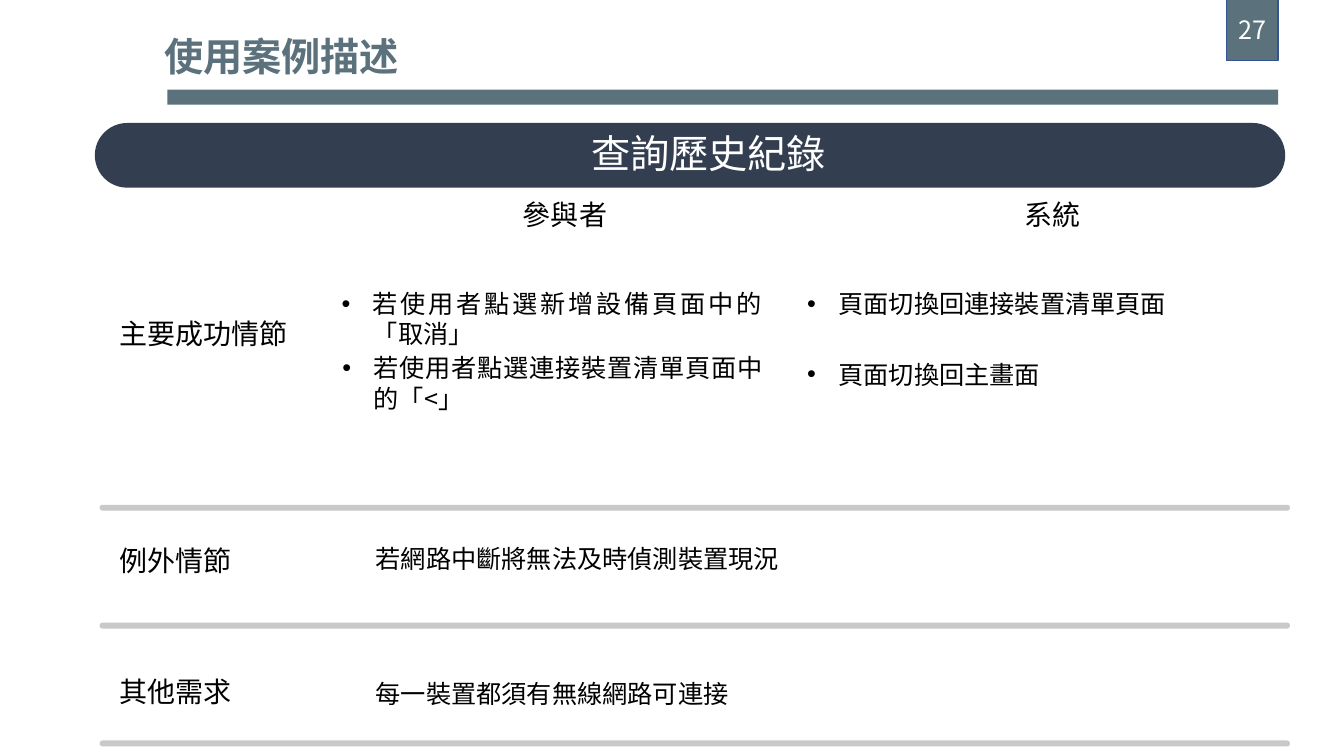
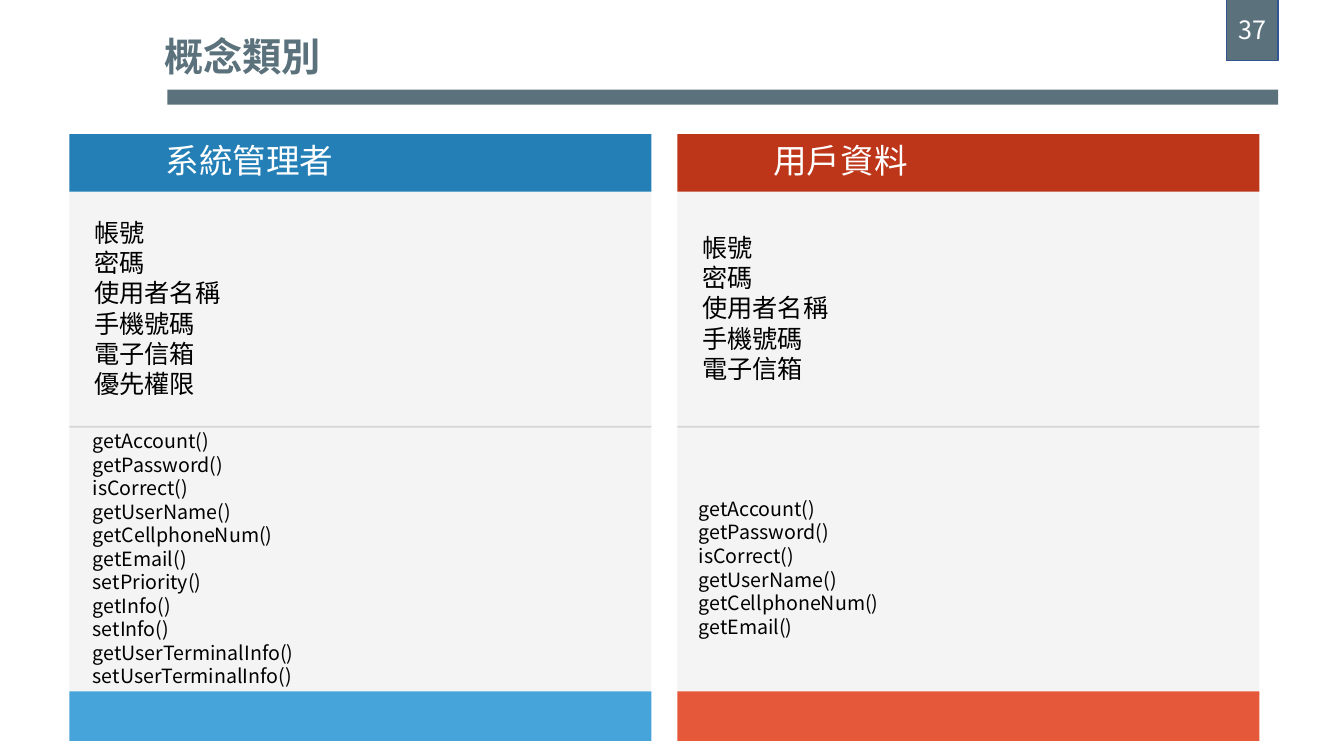
from lxml.etree import SubElement
from pptx import Presentation
from pptx.dml.color import RGBColor
from pptx.enum.shapes import MSO_SHAPE as SHAPE
from pptx.enum.text import MSO_ANCHOR as ANCHOR, PP_ALIGN as ALIGN
from pptx.oxml.ns import qn
from pptx.util import Cm, Pt

FONT = "Noto Sans CJK SC"
SLATE = RGBColor(0x5B, 0x72, 0x7D)
NAVY = RGBColor(0x33, 0x3F, 0x50)
BADGE_LINE = RGBColor(0x32, 0x54, 0x91)
RULE_GREY = RGBColor(0xC9, 0xC9, 0xC9)
SPLIT_GREY = RGBColor(0xD6, 0xD6, 0xD6)
CARD_GREY = RGBColor(0xF4, 0xF4, 0xF4)
BLUE = RGBColor(0x23, 0x7F, 0xB5)
LIGHT_BLUE = RGBColor(0x46, 0xA4, 0xDB)
RED = RGBColor(0xBE, 0x36, 0x19)
LIGHT_RED = RGBColor(0xE5, 0x58, 0x3A)
BLACK = RGBColor(0, 0, 0)
WHITE = RGBColor(0xFF, 0xFF, 0xFF)

NORMAL_INSET = (0.25, 0.13)
WIDE_INSET = (0.61, 0.3)
TIGHT_INSET = (0.13, 0.13)
TITLE_ONLY = 5


class Deck:
    """Shared style plus the slide being built; all lengths are in cm."""

    def __init__(self):
        self.prs = Presentation()
        self.prs.slide_width, self.prs.slide_height = Cm(33.87), Cm(19.05)
        self.shapes = None

    def slide(self, title, number):
        """Start a slide with its title, bar and page badge."""
        s = self.prs.slides.add_slide(self.prs.slide_layouts[TITLE_ONLY])
        self.shapes = s.shapes
        sp = s.shapes.title
        sp.left, sp.top, sp.width, sp.height = Cm(3.89), Cm(0.69), Cm(20), Cm(1.45)
        self.fill_text(sp.text_frame, [title], 28, SLATE, bold=True)
        self.box(4.22, 2.26, 27.99, 0.38, SLATE)
        badge = self.box(30.91, -0.03, 1.3, 1.55, SLATE)
        badge.line.color.rgb = BADGE_LINE
        badge.line.width = Pt(1)
        self.fill_text(badge.text_frame, [str(number)], 18, WHITE,
                       align=ALIGN.CENTER, anchor=ANCHOR.MIDDLE)

    def box(self, x, y, w, h, fill, shape=SHAPE.RECTANGLE):
        sp = self.shapes.add_shape(shape, Cm(x), Cm(y), Cm(w), Cm(h))
        sp.shadow.inherit = False
        sp.fill.solid()
        sp.fill.fore_color.rgb = fill
        sp.line.fill.background()
        return sp

    def pill(self, x, y, w, h, fill):
        self.box(x, y, w, h, fill, SHAPE.ROUNDED_RECTANGLE).adjustments[0] = 0.5

    def text(self, x, y, w, h, lines, size, color=BLACK, **style):
        sp = self.shapes.add_textbox(Cm(x), Cm(y), Cm(w), Cm(h))
        self.fill_text(sp.text_frame, lines, size, color, **style)

    def fill_text(self, tf, lines, size, color, bold=False, align=ALIGN.LEFT,
                  anchor=ANCHOR.TOP, inset=NORMAL_INSET, bullet=False):
        tf.word_wrap = True
        tf.vertical_anchor = anchor
        tf.margin_left = tf.margin_right = Cm(inset[0])
        tf.margin_top = tf.margin_bottom = Cm(inset[1])
        for i, line in enumerate(lines):
            p = tf.add_paragraph() if i else tf.paragraphs[0]
            p.alignment = align
            p.line_spacing = Pt(size * 1.2)
            if bullet:
                self.add_bullet(p)
            r = p.add_run()
            r.text = line
            r.font.name = FONT
            r.font.size = Pt(size)
            r.font.bold = bold
            r.font.color.rgb = color
            SubElement(r._r.get_or_add_rPr(), qn("a:ea")).set("typeface", FONT)

    def add_bullet(self, p):
        pPr = p._p.get_or_add_pPr()
        pPr.set("marL", str(Cm(0.79)))
        pPr.set("indent", str(-Cm(0.79)))
        SubElement(pPr, qn("a:buFont")).set("typeface", "Arial")
        SubElement(pPr, qn("a:buChar")).set("char", "•")

    def class_card(self, x, name, dark, light, attributes, methods, methods_x,
                   methods_y):
        """A grouped class: header, attributes, methods and foot."""
        slide_shapes = self.shapes
        self.shapes = slide_shapes.add_group_shape().shapes
        width, bottom = 14.67, 17.42
        middle = dict(anchor=ANCHOR.MIDDLE, inset=TIGHT_INSET)
        self.box(x, 4.8, width, bottom - 4.8, CARD_GREY)
        self.box(x, 3.38, width, 1.45, dark)
        self.text(x + 2.29, 3.53, 10, 1, [name], 24, WHITE,
                  align=ALIGN.JUSTIFY, **middle)
        self.box(x, bottom, width, 1.25, light)
        self.text(x + 0.5, 4.8, width, 5.92, attributes, 18, **middle)
        self.box(x, 10.73, width, 0.05, SPLIT_GREY)
        self.text(x + methods_x, methods_y, width, bottom - methods_y,
                  methods, 14, **middle)
        self.shapes = slide_shapes


def use_case_slide(deck):
    deck.slide("使用案例描述", 27)

    # Heading band
    deck.pill(2.39, 3.1, 30, 1.63, NAVY)
    deck.text(14.25, 2.97, 7.21, 1.8, ["查詢歷史紀錄"], 28, WHITE,
              align=ALIGN.CENTER, inset=WIDE_INSET)

    # Column and row labels
    for x, y, label in [(12.57, 4.67, "參與者"), (25.2, 4.67, "系統"),
                        (2.41, 7.67, "主要成功情節"),
                        (2.41, 13.39, "例外情節"), (2.39, 16.69, "其他需求")]:
        deck.text(x, y, 6, 1.47, [label], 20, inset=WIDE_INSET)

    # Steps of the main scenario
    for x, y, w, step, align in [
            (8.36, 7.14, 11.1, "若使用者點選新增設備頁面中的「取消」", ALIGN.JUSTIFY),
            (8.38, 8.76, 11.1, "若使用者點選連接裝置清單頁面中的「<」", ALIGN.JUSTIFY),
            (20.09, 7.14, 11.84, "頁面切換回連接裝置清單頁面", ALIGN.JUSTIFY),
            (20.09, 8.92, 11.84, "頁面切換回主畫面", ALIGN.LEFT)]:
        deck.text(x, y, w, 1.02, [step], 18, align=align, bullet=True)

    # Other rows
    for y, line in [(13.56, "若網路中斷將無法及時偵測裝置現況"),
                    (16.97, "每一裝置都須有無線網路可連接")]:
        deck.text(9.22, y, 12, 1.02, [line], 18)

    # Row rules
    for row in range(3):
        deck.pill(2.51, 12.72 + row * 2.97, 30, 0.15, RULE_GREY)


def concept_class_slide(deck):
    deck.slide("概念類別", 37)
    attributes = ["帳號", "密碼", "使用者名稱", "手機號碼", "電子信箱"]
    methods = ["getAccount()", "getPassword()", "isCorrect()", "getUserName()",
               "getCellphoneNum()", "getEmail()"]
    admin_methods = ["setPriority()", "getInfo()", "setInfo()",
                     "getUserTerminalInfo()", "setUserTerminalInfo()"]
    deck.class_card(1.75, "系統管理者", BLUE, LIGHT_BLUE,
                    attributes + ["優先權限"], methods + admin_methods, 0.46, 10.72)
    deck.class_card(17.07, "用戶資料", RED, LIGHT_RED,
                    attributes, methods, 0.41, 11.18)


def main():
    deck = Deck()
    use_case_slide(deck)
    concept_class_slide(deck)
    deck.prs.save("out.pptx")


if __name__ == "__main__":
    main()
